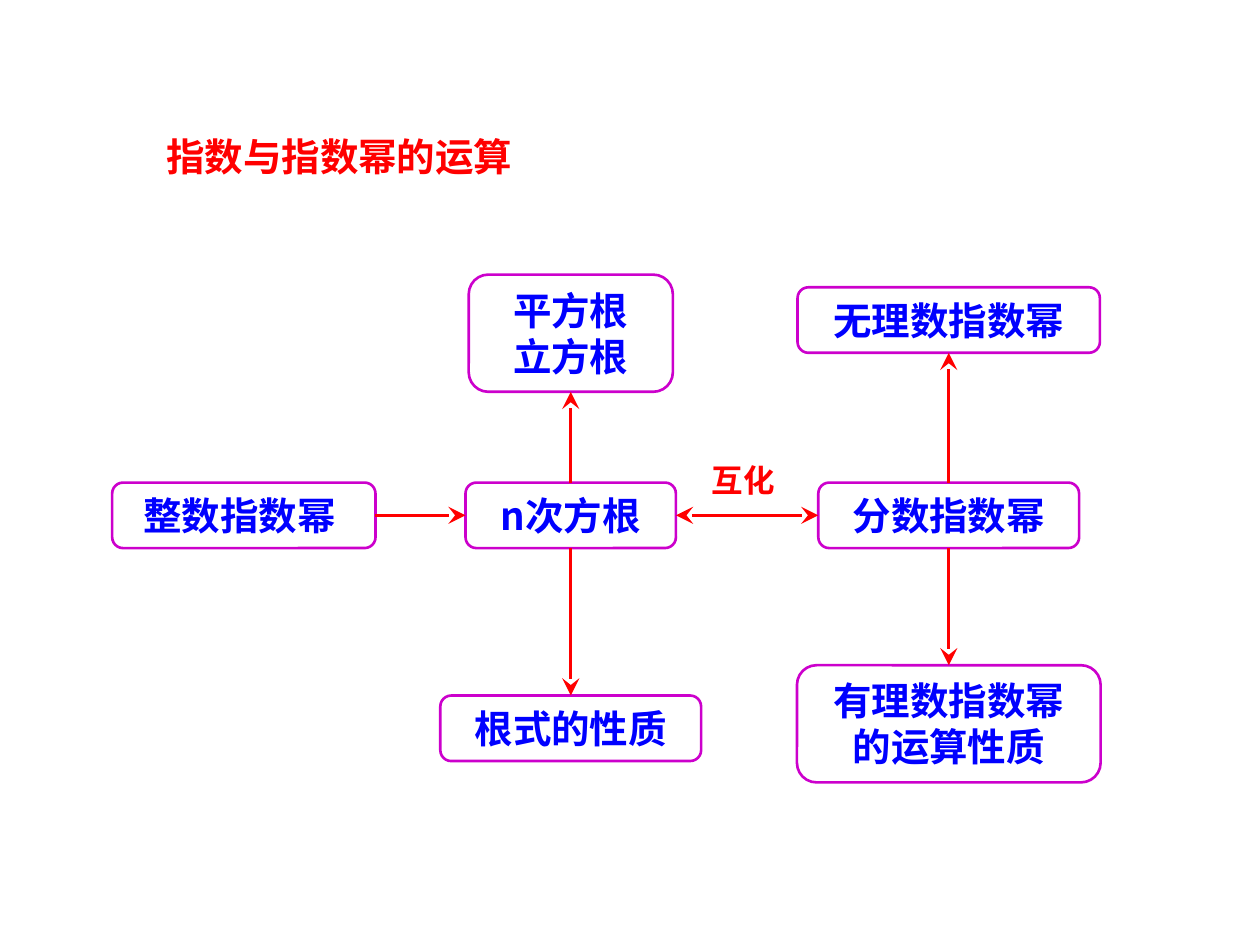
"""Build a concept map of exponents and their operations."""
import dataclasses

import lxml.etree
import pptx
import pptx.dml.color
import pptx.enum.shapes
import pptx.enum.text
import pptx.oxml.ns
import pptx.util

RED = pptx.dml.color.RGBColor(0xFF, 0x00, 0x00)
BLUE = pptx.dml.color.RGBColor(0x00, 0x00, 0xFF)
PURPLE = pptx.dml.color.RGBColor(0xCC, 0x00, 0xCC)
FONT = "Noto Sans CJK SC"
LINE_WIDTH = pptx.util.Pt(1.5)
CELL = pptx.util.Inches(0.1)
LEFT_COLUMN, MIDDLE_COLUMN, RIGHT_COLUMN = 19.35, 45.3, 75.3
MIDDLE_ROW = 40.9
ONE_LINE, TWO_LINES = 5.2, 9.3
TOP, LEFT, BOTTOM, RIGHT = range(4)
ALIGN = pptx.enum.text.PP_ALIGN
ANCHOR = pptx.enum.text.MSO_ANCHOR


@dataclasses.dataclass(frozen=True)
class Concept:
    text: str
    column: float
    row: float
    width: float
    height: float = ONE_LINE


@dataclasses.dataclass(frozen=True)
class Arrow:
    start: str
    start_site: int
    end: str
    end_site: int
    both_ways: bool = False


CONCEPTS = {
    "integer": Concept("整数指数幂 ", LEFT_COLUMN, MIDDLE_ROW, 20.9),
    "root": Concept("n次方根", MIDDLE_COLUMN, MIDDLE_ROW, 16.7),
    "fraction": Concept("分数指数幂", RIGHT_COLUMN, MIDDLE_ROW, 20.7),
    "square": Concept("平方根\n立方根", MIDDLE_COLUMN, 26.45, 16.2, TWO_LINES),
    "radical": Concept("根式的性质", MIDDLE_COLUMN, 57.8, 20.7),
    "irrational": Concept("无理数指数幂", RIGHT_COLUMN, 25.4, 24),
    "rational": Concept("有理数指数幂的运算性质", RIGHT_COLUMN, 57.45, 24.1, TWO_LINES),
}
ARROWS = [
    Arrow("integer", RIGHT, "root", LEFT),
    Arrow("root", TOP, "square", BOTTOM),
    Arrow("root", BOTTOM, "radical", TOP),
    Arrow("root", RIGHT, "fraction", LEFT, both_ways=True),
    Arrow("fraction", TOP, "irrational", BOTTOM),
    Arrow("fraction", BOTTOM, "rational", TOP),
]


def cells(count: float) -> int:
    """Return the length of a number of grid cells."""
    return round(count * CELL)


def place(shape, left: float, top: float, width: float, height: float) -> None:
    """Put a shape on the grid."""
    lengths = {"left": left, "top": top, "width": width, "height": height}
    for name, count in lengths.items():
        setattr(shape, name, cells(count))


def write(shape, text: str, size: float, color, alignment=ALIGN.LEFT,
          anchor=ANCHOR.TOP, line_spacing: float = 1.0) -> None:
    """Fill a shape with formatted text."""
    frame = shape.text_frame
    frame.text = text
    frame_format = {
        "word_wrap": True,
        "auto_size": pptx.enum.text.MSO_AUTO_SIZE.SHAPE_TO_FIT_TEXT,
        "vertical_anchor": anchor,
    }
    for name, value in frame_format.items():
        setattr(frame, name, value)
    font_format = {"name": FONT, "size": pptx.util.Pt(size), "bold": True}
    for paragraph in frame.paragraphs:
        paragraph.alignment = alignment
        paragraph.line_spacing = line_spacing
        for run in paragraph.runs:
            for name, value in font_format.items():
                setattr(run.font, name, value)
            run.font.color.rgb = color
            east_asian = lxml.etree.SubElement(
                run._r.get_or_add_rPr(), pptx.oxml.ns.qn("a:ea"))
            east_asian.set("typeface", FONT)


def draw_concept(slide, concept: Concept):
    """Draw a rounded box centred on its column and row."""
    shape = slide.shapes.add_shape(
        pptx.enum.shapes.MSO_SHAPE.FLOWCHART_ALTERNATE_PROCESS, 0, 0, 0, 0)
    place(shape, concept.column - concept.width / 2,
          concept.row - concept.height / 2, concept.width, concept.height)
    shape.shadow.inherit = False
    shape.fill.background()
    shape.line.color.rgb = PURPLE
    shape.line.width = LINE_WIDTH
    write(shape, concept.text, 22, BLUE, ALIGN.CENTER)
    return shape


def draw_arrow(slide, arrow: Arrow, boxes: dict) -> None:
    """Join two boxes with an arrow."""
    connector = slide.shapes.add_connector(
        pptx.enum.shapes.MSO_CONNECTOR.STRAIGHT, 0, 0, 0, 0)
    connector.begin_connect(boxes[arrow.start], arrow.start_site)
    connector.end_connect(boxes[arrow.end], arrow.end_site)
    connector.line.color.rgb = RED
    connector.line.width = LINE_WIDTH
    properties = connector._element.spPr
    line = properties.find(pptx.oxml.ns.qn("a:ln"))
    ends = ["a:headEnd", "a:tailEnd"] if arrow.both_ways else ["a:tailEnd"]
    for end in ends:
        head = lxml.etree.SubElement(line, pptx.oxml.ns.qn(end))
        for name, value in {"type": "stealth", "w": "lg", "len": "lg"}.items():
            head.set(name, value)
    lxml.etree.SubElement(properties, pptx.oxml.ns.qn("a:effectLst"))


def main() -> None:
    """Create and save the presentation."""
    presentation = pptx.Presentation()
    presentation.slide_width = cells(100)
    presentation.slide_height = cells(75)
    slide = presentation.slides.add_slide(presentation.slide_layouts[5])
    title = slide.shapes.title
    place(title, 12.2, 8.6, 71.9, 6.2)
    write(title, "指数与指数幂的运算", 22, RED, line_spacing=1.4)
    boxes = {name: draw_concept(slide, concept)
             for name, concept in CONCEPTS.items()}
    for arrow in ARROWS:
        draw_arrow(slide, arrow, boxes)
    label = slide.shapes.add_textbox(0, 0, 0, 0)
    place(label, 55.5, 36.1, 12.6, 4)
    write(label, "互化", 18, RED)
    presentation.save("out.pptx")


if __name__ == "__main__":
    main()
